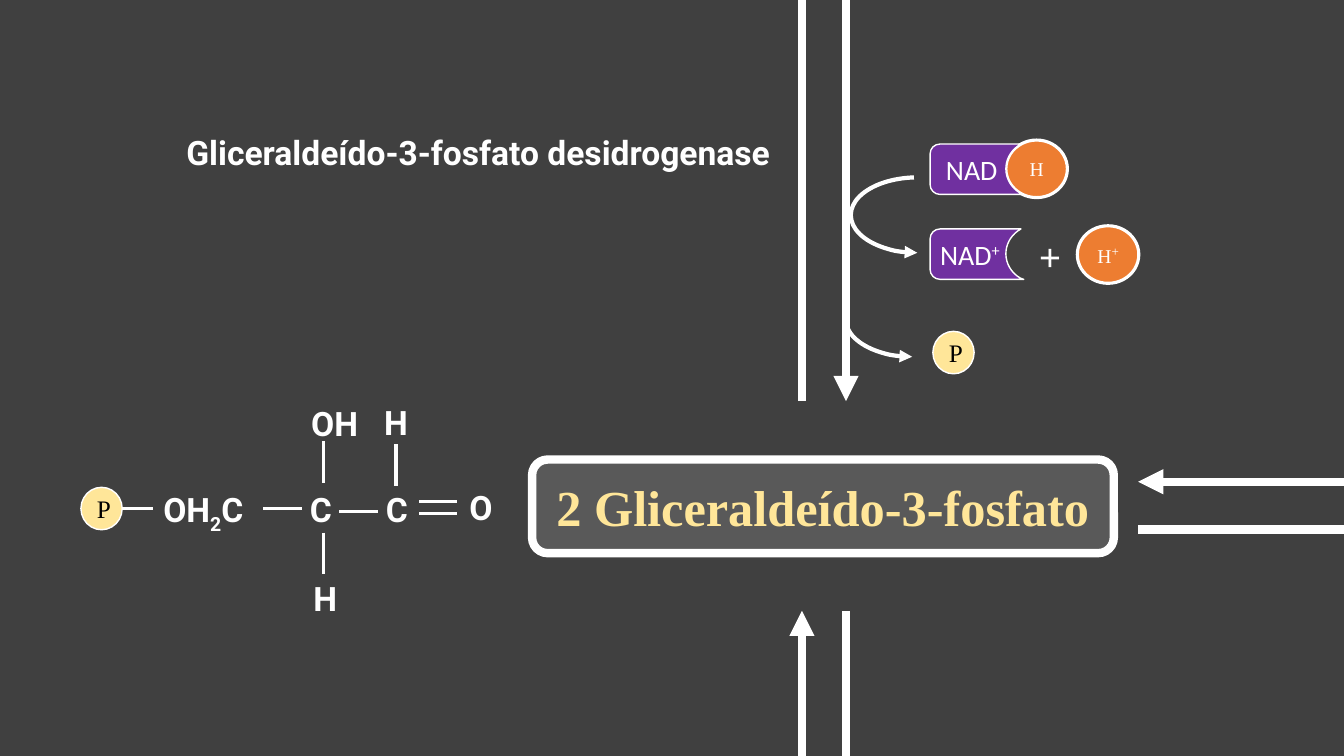
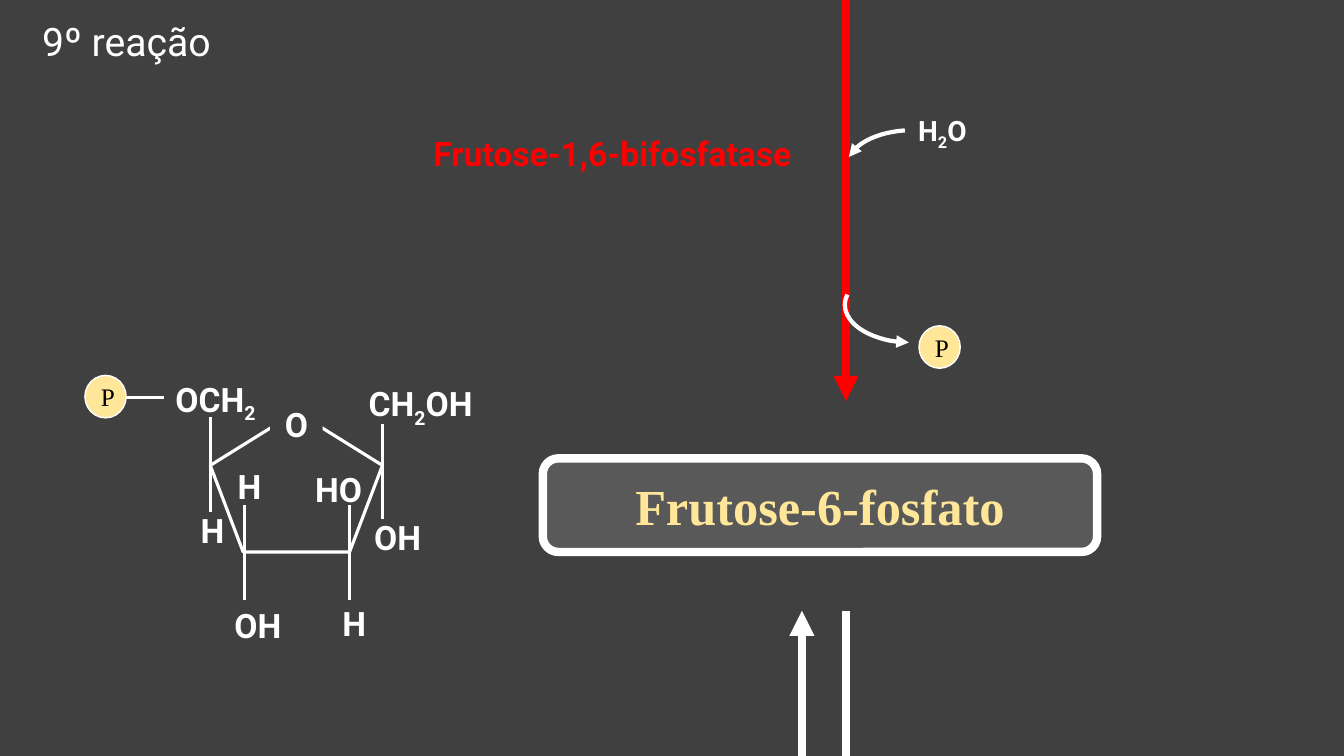
from math import cos, radians, sin, tan

from lxml import etree
from pptx import Presentation
from pptx.dml.color import RGBColor
from pptx.enum.shapes import MSO_CONNECTOR, MSO_SHAPE
from pptx.enum.text import MSO_ANCHOR, PP_ALIGN
from pptx.oxml.ns import qn
from pptx.util import Cm, Pt

STRAIGHT = MSO_CONNECTOR.STRAIGHT
ARC = MSO_SHAPE.ARC
OVAL = MSO_SHAPE.OVAL
PENTAGON = MSO_SHAPE.REGULAR_PENTAGON
ROUNDED = MSO_SHAPE.ROUNDED_RECTANGLE
TOP, MIDDLE = MSO_ANCHOR.TOP, MSO_ANCHOR.MIDDLE
LEFT, CENTER, RIGHT = PP_ALIGN.LEFT, PP_ALIGN.CENTER, PP_ALIGN.RIGHT

COLORS = {
    "background": "404040",
    "box": "595959",
    "white": "FFFFFF",
    "black": "000000",
    "cream": "FFE699",
    "orange": "ED7D31",
    "purple": "7030A0",
    "red": "FF0000",
}
SERIF, SANS, CARRIER_FONT = "Times New Roman", "Roboto", "Calibri"
TITLE_ONLY, BLANK = 5, 6

WIDTH, HEIGHT = 33.87, 19.05
UP_X, DOWN_X = 20.21, 21.32
ABOVE_BOX, BELOW_BOX = 10.11, 15.39
ATOM_HEIGHT = 1.27
HYDROGEN_SIZE = (1.55, 1.45)
HYDROGEN_OFFSET = (1.91, -0.1)
CARRIER_HEIGHT = 1.27
CORNER = 0.25


def rgb(name):
    """Return the palette colour with this name."""
    return RGBColor.from_string(COLORS[name])


def write(frame, text, *, size=24, font=SANS, color="white", bold=False,
          align=CENTER, anchor=TOP, script=-25, script_size=None):
    """Fill a text frame; every second part between bars is a sub- or superscript."""
    frame.word_wrap = True
    frame.vertical_anchor = anchor
    paragraph = frame.paragraphs[0]
    paragraph.alignment = align
    for index, part in enumerate(text.split("|")):
        run = paragraph.add_run()
        run.text = part
        run.font.size = Pt(size)
        run.font.name = font
        run.font.bold = bold
        run.font.color.rgb = rgb(color)
        if index % 2:
            run.font.size = Pt(script_size or size)
            run._r.get_or_add_rPr().set("baseline", str(script * 1000))


def paint(shape, fill, weight):
    """Give a shape its fill and a white outline, without a shadow."""
    shape.shadow.inherit = False
    if fill:
        shape.fill.solid()
        shape.fill.fore_color.rgb = rgb(fill)
    else:
        shape.fill.background()
    shape.line.color.rgb = rgb("white")
    shape.line.width = Pt(weight)


def add_figure(slide, kind, left, top, width, height, fill=None, weight=2.25):
    """Add a painted preset shape."""
    figure = slide.shapes.add_shape(kind, Cm(left), Cm(top), Cm(width), Cm(height))
    paint(figure, fill, weight)
    return figure


def add_arrowhead(line, end):
    """Put a triangle on the headEnd or tailEnd of a line."""
    etree.SubElement(line._get_or_add_ln(), qn(f"a:{end}"), type="triangle")


def add_line(slide, start, finish, weight=2.25, color="white", arrow=False):
    """Draw a straight line, with an optional arrowhead at its finish."""
    line = slide.shapes.add_connector(STRAIGHT, *map(Cm, start + finish))
    line.line.color.rgb = rgb(color)
    line.line.width = Pt(weight)
    etree.SubElement(line._element.spPr, qn("a:effectLst"))
    if arrow:
        add_arrowhead(line.line, "tailEnd")


def add_route(slide, start, finish, color="white", arrow=False):
    """Draw a thick reaction line."""
    add_line(slide, start, finish, 6, color, arrow)


def add_label(slide, text, left, top, width, height=ATOM_HEIGHT, fill=None, **style):
    """Add a text box, bold unless told otherwise."""
    label = slide.shapes.add_textbox(Cm(left), Cm(top), Cm(width), Cm(height))
    if fill:
        label.fill.solid()
        label.fill.fore_color.rgb = rgb(fill)
    write(label.text_frame, text, **{"bold": True, **style})


def add_phosphate(slide, left, top):
    """Add the cream circle of a phosphate group."""
    circle = add_figure(slide, OVAL, left, top, 1.04, 1.07, "cream", 1)
    write(circle.text_frame, "P", size=18, font=SERIF, color="black", anchor=MIDDLE)


def add_hydrogen(slide, left, top, text):
    """Add the orange circle of a hydrogen."""
    circle = add_figure(slide, OVAL, left, top, *HYDROGEN_SIZE, "orange")
    write(circle.text_frame, text, size=14, font=SERIF, anchor=MIDDLE,
          script=30, script_size=16)


def add_curve(slide, left, top, start, finish):
    """Add a curved side arrow along part of an ellipse."""
    curve = add_figure(slide, ARC, left, top, 3.35, 1.9, weight=3)
    curve.rotation = 180
    curve.adjustments[0] = start
    curve.adjustments[1] = finish
    add_arrowhead(curve.line, "headEnd")


def bezier_arc(center, radii, start, finish):
    """Return the four Bezier points of an elliptical arc, angles in degrees."""
    a, b = radians(start), radians(finish)
    pull = 4 / 3 * tan((b - a) / 4)
    unit = [
        (cos(a), sin(a)),
        (cos(a) - pull * sin(a), sin(a) + pull * cos(a)),
        (cos(b) + pull * sin(b), sin(b) - pull * cos(b)),
        (cos(b), sin(b)),
    ]
    return [(center[0] + radii[0] * x, center[1] + radii[1] * y) for x, y in unit]


def bend(outline, first):
    """Turn three line segments, from the given index on, into one curve."""
    segments = outline.findall(qn("a:lnTo"))[first:first + 3]
    curve = etree.Element(qn("a:cubicBezTo"))
    segments[0].addprevious(curve)
    for segment in segments:
        curve.append(segment[0])
        outline.remove(segment)


def add_carrier(slide, left, top, text, indent=0.25):
    """Add the purple NAD block, notched to hold a hydrogen circle."""
    radii = [side / 2 for side in HYDROGEN_SIZE]
    notch = [offset + radius for offset, radius in zip(HYDROGEN_OFFSET, radii)]
    corner = (CORNER, CORNER)
    points = [
        (2.29, 0),
        *bezier_arc(notch, radii, 232, 180),
        *bezier_arc(notch, radii, 180, 122)[1:],
        (2.36, CARRIER_HEIGHT),
        *bezier_arc((CORNER, CARRIER_HEIGHT - CORNER), corner, 90, 180),
        *bezier_arc(corner, corner, 180, 270),
    ]
    vertices = [(Cm(left + x), Cm(top + y)) for x, y in points]
    builder = slide.shapes.build_freeform(*vertices[0])
    builder.add_line_segments(vertices[1:], close=True)
    carrier = builder.convert_to_shape()
    outline = next(carrier._element.iter(qn("a:path")))
    for first in (13, 9, 4, 1):
        bend(outline, first)
    paint(carrier, "purple", 1)
    carrier.text_frame.margin_left = Cm(indent)
    write(carrier.text_frame, text, size=20, font=CARRIER_FONT, align=LEFT,
          anchor=MIDDLE, script=30)


def add_title(slide, text, left, top, width, height):
    """Place and format the title of a slide."""
    title = slide.shapes.title
    title.left, title.top, title.width, title.height = map(
        Cm, (left, top, width, height))
    write(title.text_frame, text, size=28)


def add_compound_slide(deck, layout, name, left, top, width):
    """Add a slide with its boxed compound name and the routes below it."""
    slide = deck.slides.add_slide(deck.slide_layouts[layout])
    box = add_figure(slide, ROUNDED, left, top, width, 2.36, "box", 6)
    write(box.text_frame, name, size=36, font=SERIF, color="cream", bold=True,
          anchor=MIDDLE)
    add_route(slide, (DOWN_X, BELOW_BOX), (DOWN_X, HEIGHT))
    add_route(slide, (UP_X, HEIGHT), (UP_X, BELOW_BOX), arrow=True)
    return slide


def add_molecule(slide, bonds, atoms):
    """Draw the bonds of a molecule and then its atom labels."""
    for start, finish in bonds:
        add_line(slide, start, finish)
    for atom in atoms:
        add_label(slide, *atom)


def build_glyceraldehyde(deck):
    """Build the slide on glyceraldehyde 3-phosphate."""
    slide = add_compound_slide(deck, BLANK, "2 Gliceraldeído-3-fosfato",
                               13.41, 11.58, 14.66)
    add_route(slide, (DOWN_X, 0), (DOWN_X, ABOVE_BOX), arrow=True)
    add_route(slide, (UP_X, ABOVE_BOX), (UP_X, 0))
    add_route(slide, (WIDTH, 12.14), (28.68, 12.14), arrow=True)
    add_route(slide, (28.68, 13.34), (WIDTH, 13.34))
    add_label(slide, "Gliceraldeído-3-fosfato desidrogenase", 3.86, 3.2, 15.8,
              align=RIGHT)

    add_curve(slide, 21.44, 4.47, 162, 50.98)
    add_hydrogen(slide, 25.35, 3.53, "H")
    add_carrier(slide, 23.44, 3.63, "NAD", indent=0.4)
    add_hydrogen(slide, 27.15, 5.69, "H|+")
    add_carrier(slide, 23.44, 5.77, "NAD|+")
    add_label(slide, "+", 25.93, 5.72, 0.86, 1.45, size=28, font=SERIF)
    add_curve(slide, 21.31, 7.09, 162, 1.79)
    add_phosphate(slide, 23.51, 8.35)

    bonds = [
        ((2.98, 12.82), (3.85, 12.82)),
        ((6.64, 12.82), (7.6, 12.82)),
        ((8.55, 12.89), (9.53, 12.89)),
        ((10.57, 12.64), (11.52, 12.64)),
        ((10.57, 12.95), (11.52, 12.95)),
        ((8.15, 11.12), (8.15, 12.18)),
        ((8.15, 13.42), (8.15, 14.47)),
        ((9.98, 11.2), (9.98, 12.24)),
    ]
    atoms = [
        ("OH|2|C", 3.4, 12.2, 3.45),
        ("C", 7.43, 12.2, 1.32),
        ("C", 9.35, 12.2, 1.3),
        ("O", 11.46, 12.14, 1.32),
        ("OH", 7.51, 10.03, 1.85),
        ("H", 9.23, 10, 1.5),
        ("H", 7.65, 14.43, 0.99),
    ]
    add_molecule(slide, bonds, atoms)
    add_phosphate(slide, 2.04, 12.28)


def build_fructose(deck):
    """Build the slide on fructose 6-phosphate."""
    slide = add_compound_slide(deck, TITLE_ONLY, "Frutose-6-fosfato",
                               13.68, 11.55, 13.97)
    add_title(slide, "9º reação", 0.05, 0.3, 6.27, 1.45)
    add_route(slide, (DOWN_X, 0), (DOWN_X, ABOVE_BOX), "red", arrow=True)
    add_label(slide, "Frutose-1,6-bifosfatase", 10.57, 3.23, 9.73, color="red")

    add_curve(slide, 21.32, 3.28, 5.82, 47.06)
    add_label(slide, "H|2|O", 22.43, 2.74, 2.64, 1.12, size=20)
    add_curve(slide, 21.29, 6.73, 164.22, 5.45)
    add_phosphate(slide, 23.16, 8.21)

    add_figure(slide, PENTAGON, 5.3, 10.38, 4.34, 3.53)
    bonds = [
        ((3.18, 10.02), (4.14, 10.02)),
        ((5.31, 10.52), (5.31, 12.9)),
        ((6.16, 12.73), (6.16, 15.11)),
        ((8.81, 12.73), (8.81, 15.11)),
        ((9.63, 10.69), (9.63, 13.08)),
    ]
    atoms = [
        ("O", 6.81, 10.06, 1.32, ATOM_HEIGHT, "background"),
        ("OCH|2", 3.64, 9.42, 3.58),
        ("CH|2|OH", 8.81, 9.53, 3.58),
        ("H", 4.81, 12.73, 0.99),
        ("H", 5.74, 11.61, 0.99),
        ("HO", 7.62, 11.68, 1.83),
        ("OH", 9.03, 12.9, 1.98),
        ("OH", 5.51, 15.11, 1.98),
        ("H", 8.38, 15.06, 0.99),
    ]
    add_molecule(slide, bonds, atoms)
    add_phosphate(slide, 2.14, 9.46)


def main():
    """Build and save the deck."""
    deck = Presentation()
    deck.slide_width, deck.slide_height = Cm(WIDTH), Cm(HEIGHT)
    backdrop = deck.slide_master.background.fill
    backdrop.solid()
    backdrop.fore_color.rgb = rgb("background")
    build_glyceraldehyde(deck)
    build_fructose(deck)
    deck.save("out.pptx")


if __name__ == "__main__":
    main()
